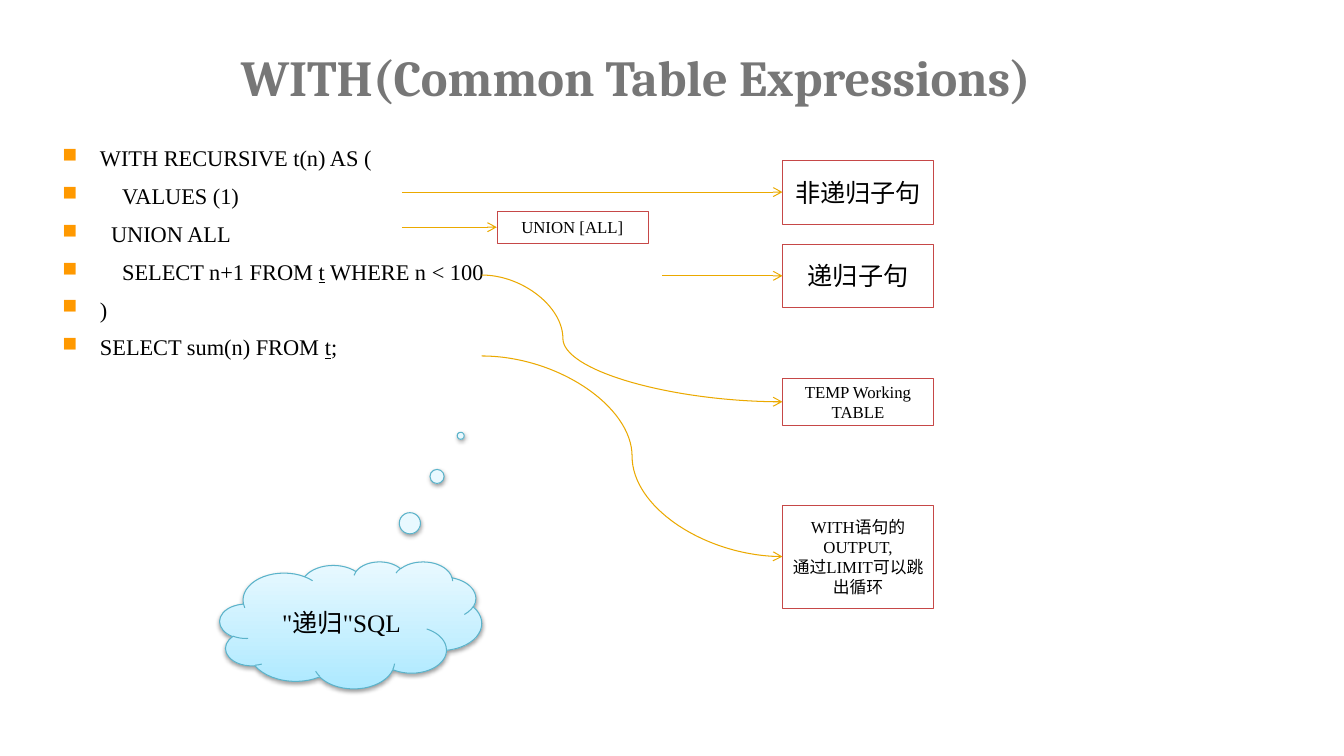
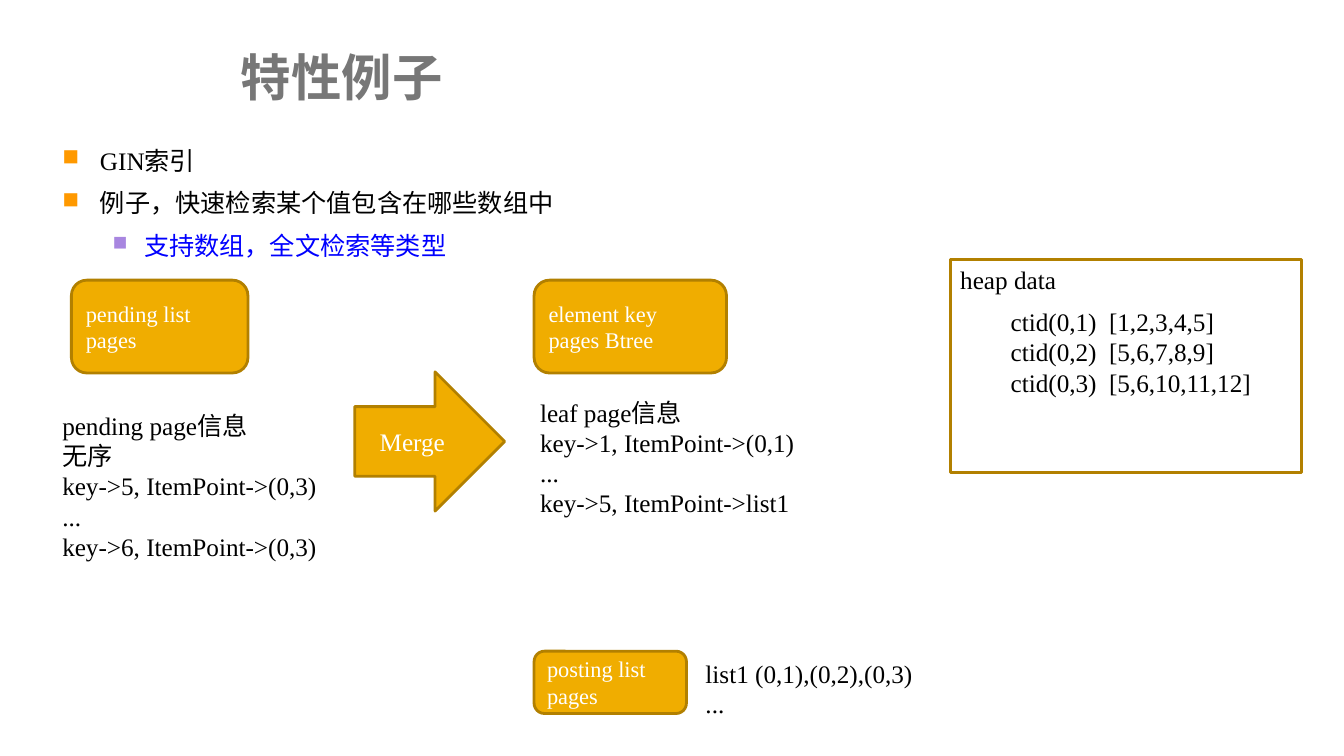
from lxml import etree
from pptx import Presentation
from pptx.dml.color import RGBColor
from pptx.enum.shapes import MSO_CONNECTOR, MSO_SHAPE
from pptx.enum.text import MSO_ANCHOR, PP_ALIGN
from pptx.oxml.ns import qn
from pptx.util import Cm, Pt

STRAIGHT, CURVE = MSO_CONNECTOR.STRAIGHT, MSO_CONNECTOR.CURVE
RECTANGLE, ROUNDED = MSO_SHAPE.RECTANGLE, MSO_SHAPE.ROUNDED_RECTANGLE
PROCESS, RIGHT_ARROW = MSO_SHAPE.FLOWCHART_PROCESS, MSO_SHAPE.RIGHT_ARROW
CLOUD = MSO_SHAPE.CLOUD_CALLOUT
TOP, MIDDLE = MSO_ANCHOR.TOP, MSO_ANCHOR.MIDDLE
LEFT, CENTER = PP_ALIGN.LEFT, PP_ALIGN.CENTER
LEFT_SIDE = 1

BLACK, WHITE, GREY, BLUE = "000000", "FFFFFF", "777777", "0000FF"
GOLD, DARK_GOLD, ARROW_GOLD, RED = "F0AD00", "B28000", "EBA900", "C64847"
ORANGE, PURPLE = "FF9900", "A886E0"
CLOUD_LIGHT, CLOUD_DEEP, CLOUD_LINE = "E9F9FF", "ADE9FF", "5BB3CA"

SERIF, HEADING = "Times New Roman", "Cambria"
TITLE_FORMAT = {"name": HEADING, "size": Pt(36), "bold": True}
SMALL_FORMAT = {"name": SERIF, "size": Pt(12)}
CODE_FORMAT = {"name": SERIF, "size": Pt(16)}
TEXT_FORMAT = {"name": SERIF, "size": Pt(18)}
SUB_FORMAT = {"name": HEADING, "size": Pt(18)}

SLIDE_SIZE = (33.87, 19.05)
TITLE_BOX = (5.82, 1.02, 26.37, 1.8)
BODY_BOX = (1.32, 3.38, 30.86, 13.89)
BULLET_LEVELS = (
    {"left": 0.95, "hanging": 0.95, "color": ORANGE, "percent": 90},
    {"left": 2.06, "hanging": 0.79, "color": PURPLE, "percent": 80},
)


def color(hex_string):
    """Turn a hex string into a colour."""
    return RGBColor.from_string(hex_string)


def add_element(parent, tag, **attributes):
    """Append a drawing element with its attributes to a parent."""
    values = {name: str(value) for name, value in attributes.items()}
    return etree.SubElement(parent, qn(tag), values)


def add_run(paragraph, text, text_format, text_color, underline=False):
    """Add one formatted run to a paragraph."""
    run = paragraph.add_run()
    run.text = text
    for name, value in text_format.items():
        setattr(run.font, name, value)
    run.font.color.rgb = color(text_color)
    if underline:
        run.font.underline = True


def next_paragraph(frame, index):
    """Return the first paragraph of a frame, or a new one after it."""
    return frame.add_paragraph() if index else frame.paragraphs[0]


def write_lines(shape, lines, text_format, text_color=BLACK, align=LEFT, anchor=MIDDLE):
    """Write one paragraph for each line into a shape."""
    frame = shape.text_frame
    frame.word_wrap = True
    frame.vertical_anchor = anchor
    for index, line in enumerate(lines):
        paragraph = next_paragraph(frame, index)
        paragraph.alignment = align
        add_run(paragraph, line, text_format, text_color)


def add_text(slide, box, lines, text_format=TEXT_FORMAT, text_color=BLACK, anchor=TOP):
    """Add a text box with its lines."""
    shape = slide.shapes.add_textbox(*map(Cm, box))
    write_lines(shape, lines, text_format, text_color, anchor=anchor)
    return shape


def add_box(slide, kind, box, fill, line, width):
    """Add a preset shape with a flat fill, or none, and an outline."""
    shape = slide.shapes.add_shape(kind, *map(Cm, box))
    shape.shadow.inherit = False
    if fill:
        shape.fill.solid()
        shape.fill.fore_color.rgb = color(fill)
    else:
        shape.fill.background()
    shape.line.color.rgb = color(line)
    shape.line.width = Pt(width)
    return shape


def add_arrow(slide, kind, start, end):
    """Add a thin gold connector with an open arrowhead."""
    connector = slide.shapes.add_connector(kind, *start, *end)
    connector.line.color.rgb = color(ARROW_GOLD)
    connector.line.width = Pt(0.75)
    properties = connector._element.spPr
    add_element(properties.find(qn("a:ln")), "a:tailEnd", type="arrow")
    add_element(properties, "a:effectLst")
    return connector


def point_at(slide, shape, left, top=None, bend=0.5):
    """Draw an arrow to the left side of a shape, curved if it starts at another height."""
    middle = shape.top + shape.height // 2
    if top is None:
        connector = add_arrow(slide, STRAIGHT, (Cm(left), middle), (shape.left, middle))
        connector.end_connect(shape, LEFT_SIDE)
        return
    connector = add_arrow(slide, CURVE, (Cm(left), Cm(top)), (shape.left, middle))
    geometry = connector._element.spPr.find(qn("a:prstGeom"))
    adjustments = geometry.find(qn("a:avLst"))
    if adjustments is None:
        adjustments = add_element(geometry, "a:avLst")
    add_element(adjustments, "a:gd", name="adj1", fmla=f"val {round(bend * 100000)}")


def add_title(slide, title):
    """Place the slide title."""
    add_text(slide, TITLE_BOX, [title], TITLE_FORMAT, GREY, MIDDLE)


def add_bullets(slide, items):
    """Place bulleted items of level, extra indent, format, colour and parts; odd parts are underlined."""
    frame = slide.shapes.add_textbox(*map(Cm, BODY_BOX)).text_frame
    frame.word_wrap = True
    for index, (level, extra, text_format, text_color, parts) in enumerate(items):
        paragraph = next_paragraph(frame, index)
        paragraph.level = level
        paragraph.line_spacing = 1.2
        paragraph.space_before = Pt(text_format["size"].pt / 4)
        style = BULLET_LEVELS[level]
        properties = paragraph._p.get_or_add_pPr()
        properties.set("marL", str(Cm(style["left"] + extra)))
        properties.set("indent", str(-Cm(style["hanging"] + extra)))
        bullet_color = add_element(properties, "a:buClr")
        add_element(bullet_color, "a:srgbClr", val=style["color"])
        add_element(properties, "a:buSzPct", val=style["percent"] * 1000)
        add_element(properties, "a:buChar", char="■")
        for position, part in enumerate(parts):
            add_run(paragraph, part, text_format, text_color, position % 2 == 1)


def add_note(slide, box, lines, text_format=SMALL_FORMAT):
    """Add a white note with a thin red outline."""
    shape = add_box(slide, RECTANGLE, box, WHITE, RED, 0.25)
    write_lines(shape, lines, text_format, align=CENTER)
    return shape


def add_cloud(slide, box, text):
    """Add a shaded thought cloud."""
    shape = add_box(slide, CLOUD, box, WHITE, CLOUD_LINE, 0.75)
    shape.adjustments[0], shape.adjustments[1] = 0.42, -1.49
    shape.fill.gradient()
    shape.fill.gradient_angle = 90
    for stop, stop_color in zip(shape.fill.gradient_stops, (CLOUD_DEEP, CLOUD_LIGHT)):
        stop.color.rgb = color(stop_color)
    effects = shape._element.spPr.find(qn("a:effectLst"))
    shadow = add_element(effects, "a:outerShdw", blurRad=Pt(3.1), dist=Pt(1.6),
                         dir=5400000, rotWithShape=0)
    add_element(add_element(shadow, "a:srgbClr", val=BLACK), "a:alpha", val=38000)
    write_lines(shape, [text], TEXT_FORMAT, align=CENTER)


def add_page_label(slide, box, text):
    """Add a gold rounded label for a kind of index page."""
    shape = add_box(slide, ROUNDED, box, GOLD, DARK_GOLD, 2)
    write_lines(shape, [text], CODE_FORMAT, WHITE)


def add_heap(slide, box, heading, rows):
    """Add the heap frame with its heading and tabbed rows."""
    left, top, width, height = box
    add_box(slide, PROCESS, box, None, DARK_GOLD, 2)
    add_text(slide, (left, top, width, 1.02), [heading])
    row_box = (left + 1.27, top + 1.07, width - 1.27, height - 1.07)
    table = add_text(slide, row_box, ["\t".join(row) for row in rows])
    for paragraph in table.text_frame.paragraphs:
        tabs = add_element(paragraph._p.get_or_add_pPr(), "a:tabLst")
        add_element(tabs, "a:tab", pos=Cm(2.48), algn="l")


def build_recursive_query(slide):
    """Build the slide on recursive common table expressions."""
    add_title(slide, "WITH(Common Table Expressions)")
    code = (
        (0, ["WITH RECURSIVE t(n) AS ("]),
        (0.56, ["VALUES (1)"]),
        (0.28, ["UNION ALL"]),
        (0.56, ["SELECT n+1 FROM ", "t", " WHERE n < 100"]),
        (0, [")"]),
        (0, ["SELECT sum(n) FROM ", "t", ";"]),
    )
    add_bullets(slide, [(0, extra, CODE_FORMAT, BLACK, parts) for extra, parts in code])
    left, width = 19.72, 3.81
    base = add_note(slide, (left, 4.04, width, 1.6), ["非递归子句"], TEXT_FORMAT)
    recursive = add_note(slide, (left, 6.15, width, 1.6), ["递归子句"], TEXT_FORMAT)
    union = add_note(slide, (12.52, 5.33, width, 0.79), ["UNION [ALL]"])
    working = add_note(slide, (left, 9.53, width, 1.19), ["TEMP Working TABLE"])
    output = add_note(slide, (left, 12.73, width, 2.59),
                      ["WITH语句的OUTPUT,", "通过LIMIT可以跳出循环"])
    for shape, start in ((base, 10.13), (recursive, 16.69), (union, 10.13)):
        point_at(slide, shape, start)
    point_at(slide, working, 12.14, 6.93, 0.27)
    point_at(slide, output, 12.14, 8.97)
    add_cloud(slide, (5.54, 14.15, 6.6, 3.2), '"递归"SQL')


def build_index_example(slide):
    """Build the slide on the GIN index."""
    add_title(slide, "特性例子")
    add_bullets(slide, [
        (0, 0, TEXT_FORMAT, BLACK, ["GIN索引"]),
        (0, 0, TEXT_FORMAT, BLACK, ["例子，快速检索某个值包含在哪些数组中"]),
        (1, 0, SUB_FORMAT, BLUE, ["支持数组，全文检索等类型"]),
    ])
    add_page_label(slide, (1.8, 7.06, 4.45, 2.34), "pending list pages")
    add_page_label(slide, (13.46, 7.06, 4.85, 2.34), "element key pages Btree")
    add_page_label(slide, (13.46, 16.41, 3.84, 1.57), "posting list pages")
    add_text(slide, (1.32, 10.21, 7.4, 4.88),
             ["pending page信息", "无序", "key->5, ItemPoint->(0,3)", "...",
              "key->6, ItemPoint->(0,3)"])
    add_text(slide, (13.36, 9.88, 7.4, 4.11),
             ["leaf page信息", "key->1, ItemPoint->(0,1)", "...", "key->5, ItemPoint->list1"])
    add_text(slide, (17.53, 16.46, 6.4, 1.8), ["list1 (0,1),(0,2),(0,3)", "..."])
    add_heap(slide, (23.95, 6.53, 8.86, 5.38), "heap data", [
        ("ctid(0,1)", "[1,2,3,4,5]"),
        ("ctid(0,2)", "[5,6,7,8,9]"),
        ("ctid(0,3)", "[5,6,10,11,12]"),
    ])
    merge = add_box(slide, RIGHT_ARROW, (8.94, 9.37, 3.78, 3.51), GOLD, DARK_GOLD, 2)
    write_lines(merge, ["Merge"], TEXT_FORMAT, WHITE, CENTER)


def main():
    """Build and save the presentation."""
    presentation = Presentation()
    presentation.slide_width, presentation.slide_height = map(Cm, SLIDE_SIZE)
    blank = presentation.slide_layouts[6]
    for build in (build_recursive_query, build_index_example):
        build(presentation.slides.add_slide(blank))
    presentation.save("out.pptx")


if __name__ == "__main__":
    main()
